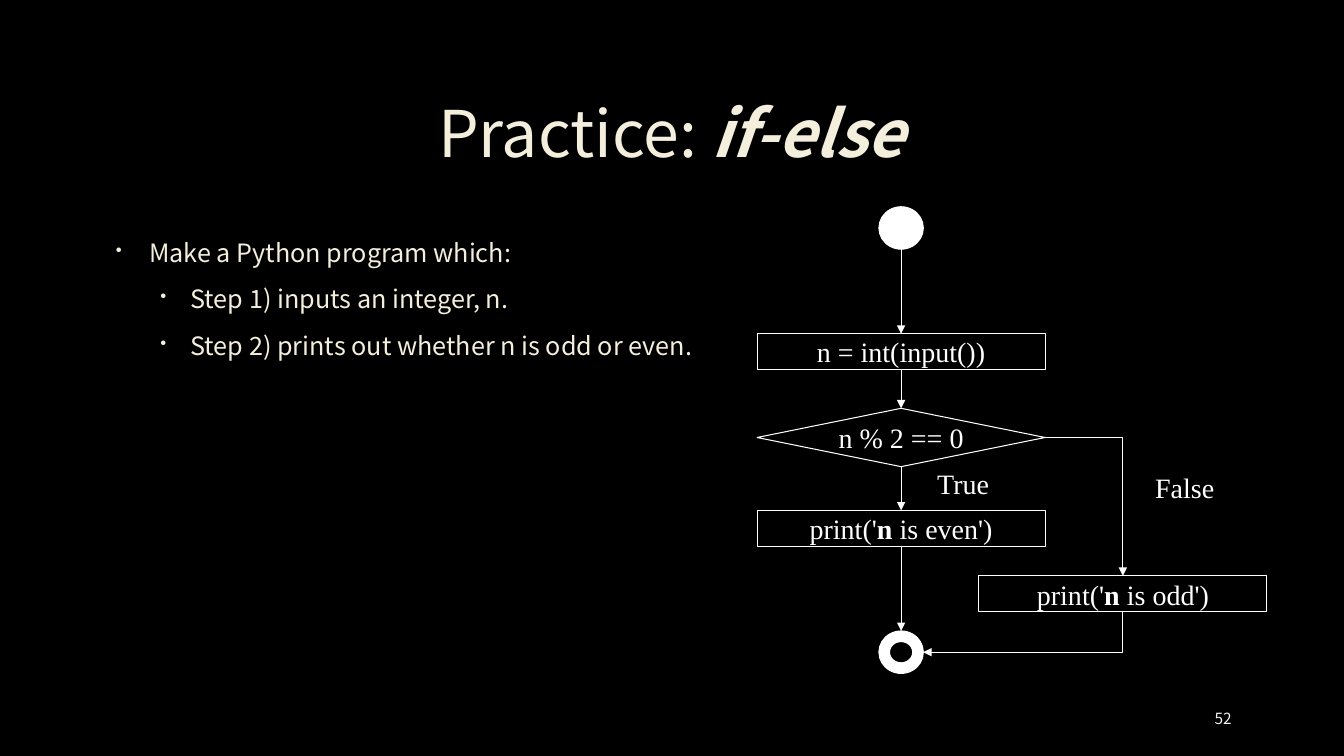
from pptx import Presentation
from pptx import util as u
from pptx.dml.color import RGBColor
from pptx.enum import shapes, text
from pptx.oxml.ns import qn
from lxml import etree

BLACK = RGBColor(0x00, 0x00, 0x00)
WHITE = RGBColor(0xFF, 0xFF, 0xFF)
CREAM = RGBColor(0xF4, 0xEE, 0xDC)
PALE = RGBColor(0xF2, 0xF2, 0xF2)
SANS, SERIF = "Noto Sans CJK KR", "Times New Roman"
SHAPE, ALIGN, ANCHOR = shapes.MSO_SHAPE, text.PP_ALIGN, text.MSO_ANCHOR
LINE_WIDTH = u.Pt(0.75)
COLUMN, CIRCLE_W, CIRCLE_H = 7.26, 1.12, 1.07
STEP_H, DECISION_H = 0.91, 1.47


def write(para, parts, font, size, color, align=ALIGN.LEFT, italic=False):
    """Fill a paragraph with spans, every second one emphasised."""
    para.alignment = align
    for index, part in enumerate(parts):
        span = para.add_run()
        span.text = part
        span.font.name, span.font.size = font, u.Pt(size)
        span.font.color.rgb = color
        span.font.bold = index % 2 == 1
        span.font.italic = italic and index % 2 == 1


def add_text(page, box, parts, font, size, color, align=ALIGN.LEFT,
             anchor=ANCHOR.TOP, italic=False):
    """Add a wrapped text box holding one paragraph and return that paragraph."""
    frame = page.shapes.add_textbox(*map(u.Cm, box)).text_frame
    frame.word_wrap, frame.vertical_anchor = True, anchor
    para = frame.paragraphs[0]
    write(para, parts, font, size, color, align, italic)
    return para


def add_bullet(para, margin, indent):
    """Give a paragraph a small cream bullet and a hanging indent."""
    props = para._p.get_or_add_pPr()
    props.set("marL", str(u.Cm(margin)))
    props.set("indent", str(u.Cm(indent)))
    color = etree.SubElement(props, qn("a:buClr"))
    etree.SubElement(color, qn("a:srgbClr"), val=str(CREAM))
    etree.SubElement(props, qn("a:buSzPct"), val="70000")
    etree.SubElement(props, qn("a:buChar"), char="•")


def add_steps(page, box):
    """Add the bulleted task description."""
    frame = page.shapes.add_textbox(*map(u.Cm, box)).text_frame
    frame.word_wrap = True
    lines = [(0, "Make a Python program which:"),
             (1, "Step 1) inputs an integer, n."),
             (1, "Step 2) prints out whether n is odd or even.")]
    for index, (level, line) in enumerate(lines):
        para = frame.add_paragraph() if index else frame.paragraphs[0]
        para.level, para.line_spacing = level, 1.1
        para.space_before, para.space_after = u.Pt(3.6), u.Pt(6)
        write(para, [line], SANS, 18, CREAM)
        add_bullet(para, *[(0.97, -0.84), (2.01, -0.76)][level])


def add_node(page, kind, box, parts=()):
    """Add a white circle, or an outlined node with centred text."""
    node = page.shapes.add_shape(kind, *map(u.Cm, box))
    node.shadow.inherit = False
    node.line.color.rgb, node.line.width = WHITE, LINE_WIDTH
    if parts:
        node.fill.background()
        frame = node.text_frame
        frame.margin_left = frame.margin_right = 0
        frame.margin_top = frame.margin_bottom = 0
        frame.word_wrap, frame.vertical_anchor = False, ANCHOR.MIDDLE
        write(frame.paragraphs[0], parts, SERIF, 20, WHITE, ALIGN.CENTER)
    else:
        node.fill.solid()
        node.fill.fore_color.rgb = WHITE
    return node


def add_arrow(page, start, end, bent=False, head="a:tailEnd"):
    """Join two ends, each a point or a (node, side) pair, with an arrow."""
    kind = shapes.MSO_CONNECTOR.ELBOW if bent else shapes.MSO_CONNECTOR.STRAIGHT
    points = [(0, 0) if hasattr(place[0], "shape_id") else place
              for place in (start, end)]
    arrow = page.shapes.add_connector(kind, *points[0], *points[1])
    if start != points[0]:
        arrow.begin_connect(*start)
    if end != points[1]:
        arrow.end_connect(*end)
    arrow.line.color.rgb, arrow.line.width = WHITE, LINE_WIDTH
    props = arrow._element.spPr
    if bent:
        props.find(qn("a:prstGeom")).set("prst", "bentConnector2")
    etree.SubElement(arrow.line._get_or_add_ln(), qn(head), type="triangle")
    etree.SubElement(props, qn("a:effectLst"))


def add_flowchart(page, left, top):
    """Draw the odd-or-even flowchart from its top left corner."""
    circle_left = left + (COLUMN - CIRCLE_W) / 2
    odd_left = left + 5.59

    def step(x, y, parts):
        """Add one process step."""
        return add_node(page, SHAPE.RECTANGLE, (x, top + y, COLUMN, STEP_H), parts)

    start = add_node(page, SHAPE.OVAL, (circle_left, top, CIRCLE_W, CIRCLE_H))
    finish = add_node(page, SHAPE.DONUT,
                      (circle_left, top + 10.69, CIRCLE_W, CIRCLE_H))
    read = step(left, 3.2, ["n = int(input())"])
    decision = add_node(page, SHAPE.DIAMOND,
                        (left, top + 5.08, COLUMN, DECISION_H), ["n % 2 == 0"])
    even = step(left, 7.65, ["print('", "n", " is even')"])
    odd = step(odd_left, 9.3, ["print('", "n", " is odd')"])

    start_bottom = (start.left + start.width // 2, start.top + start.height)
    finish_right = (finish.left + finish.width, finish.top + finish.height // 2)
    add_arrow(page, start_bottom, (read, 0))
    for upper, lower in [(read, decision), (decision, even), (even, finish)]:
        add_arrow(page, (upper, 2), (lower, 0))
    add_arrow(page, (decision, 3), (odd, 0), bent=True)
    add_arrow(page, finish_right, (odd, 2), bent=True, head="a:headEnd")
    for x, y, label in [(4.29, 6.43, "True"), (9.78, 6.53, "False")]:
        add_text(page, (left + x, top + y, 2.79, 1.12), [label], SERIF, 20, WHITE)


def build_practice(page):
    """Lay out the practice slide."""
    page.background.fill.solid()
    page.background.fill.fore_color.rgb = BLACK
    title = add_text(page, (2.54, 1.7, 28.75, 3.51), ["Practice: ", "if-else"],
                     SANS, 46, CREAM, ALIGN.CENTER, ANCHOR.MIDDLE, italic=True)
    title.line_spacing = 0.9
    add_steps(page, (2.54, 5.77, 18.97, 10.06))
    add_flowchart(page, 19.08, 5.21)
    add_text(page, (29.21, 17.6, 2.08, 1.02), ["52"], SANS, 11, PALE,
             ALIGN.RIGHT, ANCHOR.MIDDLE)


def main():
    """Build and save the deck."""
    deck = Presentation()
    deck.slide_width, deck.slide_height = u.Cm(33.87), u.Cm(19.05)
    build_practice(deck.slides.add_slide(deck.slide_layouts[6]))
    deck.save("out.pptx")


if __name__ == "__main__":
    main()
